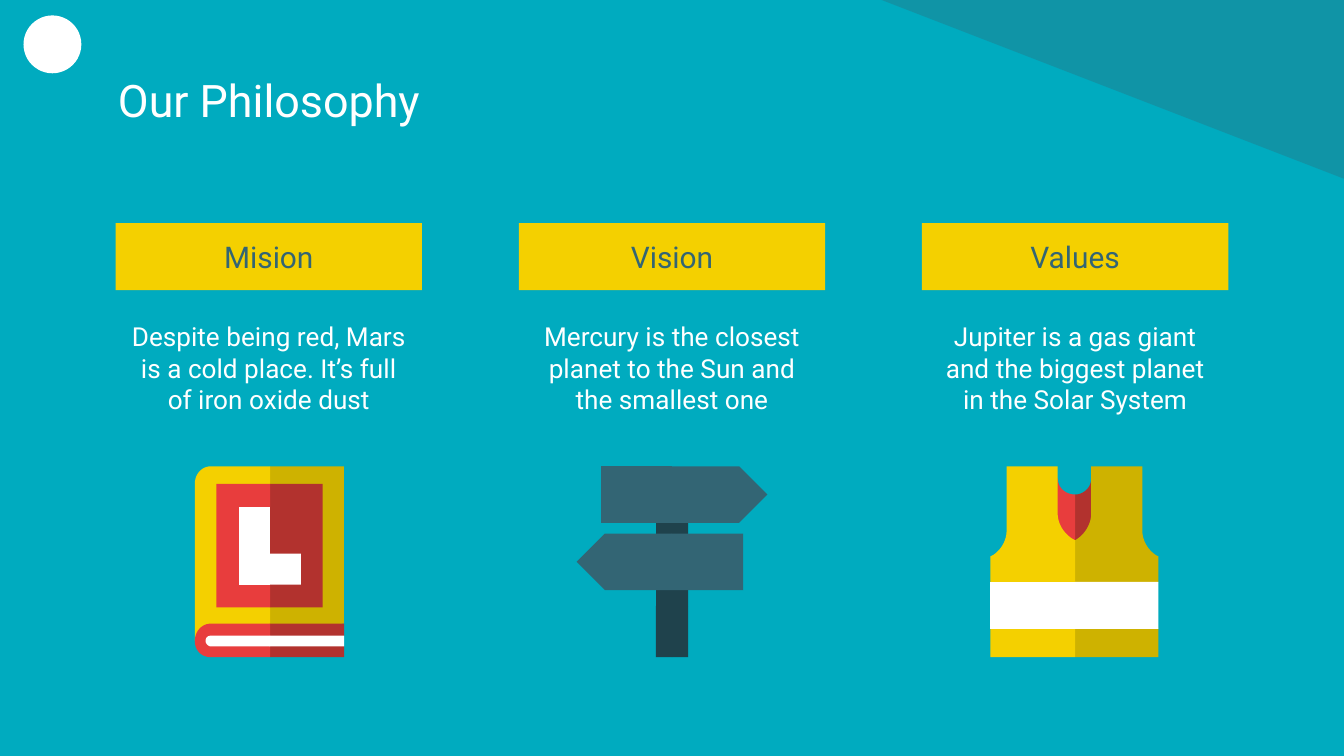
from dataclasses import dataclass

from lxml import etree
from pptx import Presentation, util as u
from pptx.dml.color import RGBColor
from pptx.enum import shapes, text
from pptx.oxml import ns

COLOURS = {
    "sea": "00ABBF", "white": "FFFFFF", "slate": "336574", "ink": "1F424C",
    "yellow": "F4D000", "mustard": "CEB200", "red": "E83D3D", "brick": "B2322E",
}
WIDTH = u.Inches(10)
HEIGHT = WIDTH * 9 // 16
CELL = WIDTH // 10
FIRST_CENTRE, COLUMN_PITCH, COLUMN_WIDTH = 2, 3, 2.28
ICON_TOP, ICON_UNIT = 3.47, 0.01
CURVE_STEPS = 12


@dataclass(frozen=True)
class Piece:
    colour: str
    outline: tuple


@dataclass(frozen=True)
class Column:
    heading: str
    body: str
    icon: tuple


def rect(left: float, top: float, right: float, bottom: float) -> tuple:
    return (left, top), (left, bottom), (right, bottom), (right, top)


BOOK = (
    Piece("mustard", ((1, 0), (-47, 130), (56, 117), (56, 0))),
    Piece("yellow", ((-43, 0), (-50, 0, -55, 6, -55, 13), (-55, 130), (1, 130), (1, 0))),
    Piece("brick", ((1, 13), (-20, 59), (1, 105), (40, 105), (40, 13))),
    Piece("red", ((-39, 13), (-39, 105), (1, 105), (1, 88), (-12, 59), (1, 30), (1, 13))),
    Piece("brick", ((1, 117), (-16, 130), (1, 142), (56, 142), (56, 134), (52, 130),
                    (56, 126), (56, 117))),
    Piece("red", ((-43, 117), (-50, 117, -55, 123, -55, 130),
                  (-55, 137, -50, 142, -43, 142), (1, 142), (1, 117))),
    Piece("white", ((1, 126), (-5, 130), (1, 134), (56, 134), (56, 126))),
    Piece("white", ((-43, 126), (-45, 126, -47, 127, -47, 130),
                    (-47, 132, -45, 134, -43, 134), (1, 134), (1, 126))),
    Piece("white", ((-12, 65), (1, 88), (24, 88), (24, 65))),
    Piece("white", rect(-22, 30, 1, 88)),
)
SIGNPOST = (
    Piece("ink", ((-8, 96), (0, 142), (12, 142), (12, 104))),
    Piece("ink", ((0, 96), (-12, 104), (-12, 142), (0, 142))),
    Piece("ink", ((-8, 21), (0, 104), (12, 104), (12, 21))),
    Piece("ink", rect(-12, 21, 0, 104)),
    Piece("slate", ((0, 50), (-17, 71), (0, 92), (53, 92), (53, 50))),
    Piece("slate", ((-50, 50), (-71, 71), (-50, 92), (0, 92), (0, 50))),
    Piece("slate", ((0, 0), (-17, 21), (0, 42), (50, 42), (71, 21), (50, 0))),
    Piece("slate", rect(-53, 0, 0, 42)),
)
VEST = (
    Piece("brick", ((12, 9), (12, 16, 6, 21, 0, 21), (-17, 71), (20, 71), (20, 9))),
    Piece("red", ((-21, 9), (-21, 71), (0, 71), (0, 21), (-7, 21, -13, 16, -13, 9))),
    Piece("mustard", ((12, 0), (12, 35), (12, 43, 7, 51, 0, 55), (-25, 98), (0, 142),
                      (62, 142), (62, 121), (54, 104), (62, 86), (62, 67), (60, 66),
                      (54, 62, 50, 55, 50, 48), (50, 0))),
    Piece("yellow", ((-51, 0), (-51, 48), (-51, 55, -55, 62, -61, 66), (-63, 67),
                     (-63, 86), (-55, 104), (-63, 121), (-63, 142), (0, 142), (0, 55),
                     (-8, 51, -13, 43, -13, 35), (-13, 0))),
    Piece("white", ((0, 86), (-9, 104), (0, 121), (62, 121), (62, 86))),
    Piece("white", rect(-63, 86, 0, 121)),
)
COLUMNS = (
    Column("Mision", "Despite being red, Mars is a cold place. It’s full of iron oxide dust", BOOK),
    Column("Vision", "Mercury is the closest planet to the Sun and the smallest one", SIGNPOST),
    Column("Values", "Jupiter is a gas giant and the biggest planet in the Solar System", VEST),
)


def rgb(name: str) -> RGBColor:
    return RGBColor.from_string(COLOURS[name])


def cells(*lengths: float) -> list:
    return [round(length * CELL) for length in lengths]


def paint(shape, colour: str) -> None:
    shape.shadow.inherit = False
    shape.fill.solid()
    shape.fill.fore_color.rgb = rgb(colour)
    shape.line.fill.background()


def add_shape(page, kind, left: float, top: float, width: float, height: float, colour: str):
    shape = page.shapes.add_shape(kind, *cells(left, top, width, height))
    paint(shape, colour)
    return shape


def write(box, words: str, size: float, colour: str, align) -> None:
    frame = box.text_frame
    frame.text = words
    frame.word_wrap = True
    frame.vertical_anchor = text.MSO_ANCHOR.MIDDLE
    frame.margin_left = frame.margin_right = u.Inches(0.1)
    frame.margin_top = frame.margin_bottom = u.Inches(0.1)
    para = frame.paragraphs[0]
    para.alignment = align
    font = para.runs[0].font
    font.name, font.size = "Roboto", u.Pt(size)
    font.color.rgb = rgb(colour)


def add_text(page, left: float, top: float, width: float, height: float,
             words: str, size: float, align) -> None:
    box = page.shapes.add_textbox(*cells(left, top, width, height))
    write(box, words, size, "white", align)


def trace(outline: tuple) -> list:
    points = [outline[0]]
    for step in outline[1:]:
        if len(step) == 2:
            points.append(step)
            continue
        controls = (points[-1], step[:2], step[2:4], step[4:])
        for i in range(1, CURVE_STEPS + 1):
            t = i / CURVE_STEPS
            weights = ((1 - t) ** 3, 3 * t * (1 - t) ** 2, 3 * t * t * (1 - t), t ** 3)
            points.append(tuple(sum(w * c[axis] for w, c in zip(weights, controls))
                                for axis in (0, 1)))
    return points


def add_icon(page, centre: float, pieces: tuple) -> None:
    drawn = []
    for piece in pieces:
        points = [cells(centre + x * ICON_UNIT, ICON_TOP + y * ICON_UNIT)
                  for x, y in trace(piece.outline)]
        builder = page.shapes.build_freeform(*points[0])
        builder.add_line_segments(points[1:], close=True)
        shape = builder.convert_to_shape()
        paint(shape, piece.colour)
        drawn.append(shape)
    page.shapes.add_group_shape(drawn)


def add_column(page, index: int, column: Column) -> None:
    centre = FIRST_CENTRE + index * COLUMN_PITCH
    left = centre - COLUMN_WIDTH / 2
    band = add_shape(page, shapes.MSO_SHAPE.RECTANGLE, left, 1.66, COLUMN_WIDTH, 0.5, "yellow")
    write(band, column.heading, 16, "slate", text.PP_ALIGN.CENTER)
    add_text(page, left, 2.4, COLUMN_WIDTH, 0.67, column.body, 14, text.PP_ALIGN.CENTER)
    add_icon(page, centre, column.icon)


def main() -> None:
    deck = Presentation()
    deck.slide_width, deck.slide_height = WIDTH, HEIGHT
    page = deck.slides.add_slide(deck.slide_layouts[6])
    page.background.fill.solid()
    page.background.fill.fore_color.rgb = rgb("sea")

    corner = add_shape(page, shapes.MSO_SHAPE.RIGHT_TRIANGLE, 6.56, 0, 3.44, 1.33, "slate")
    corner.rotation = 180
    tint = corner.element.spPr.find(".//" + ns.qn("a:srgbClr"))
    etree.SubElement(tint, ns.qn("a:alpha"), val="32000")

    dot = add_shape(page, shapes.MSO_SHAPE.OVAL, 0.18, 0.12, 0.42, 0.42, "white")
    dot.line.color.rgb = rgb("white")
    dot.line.width = u.Pt(0.75)

    add_text(page, 0.78, 0.43, 8.44, 0.63, "Our Philosophy", 24, text.PP_ALIGN.LEFT)
    for index, column in enumerate(COLUMNS):
        add_column(page, index, column)
    deck.save("out.pptx")


if __name__ == "__main__":
    main()
